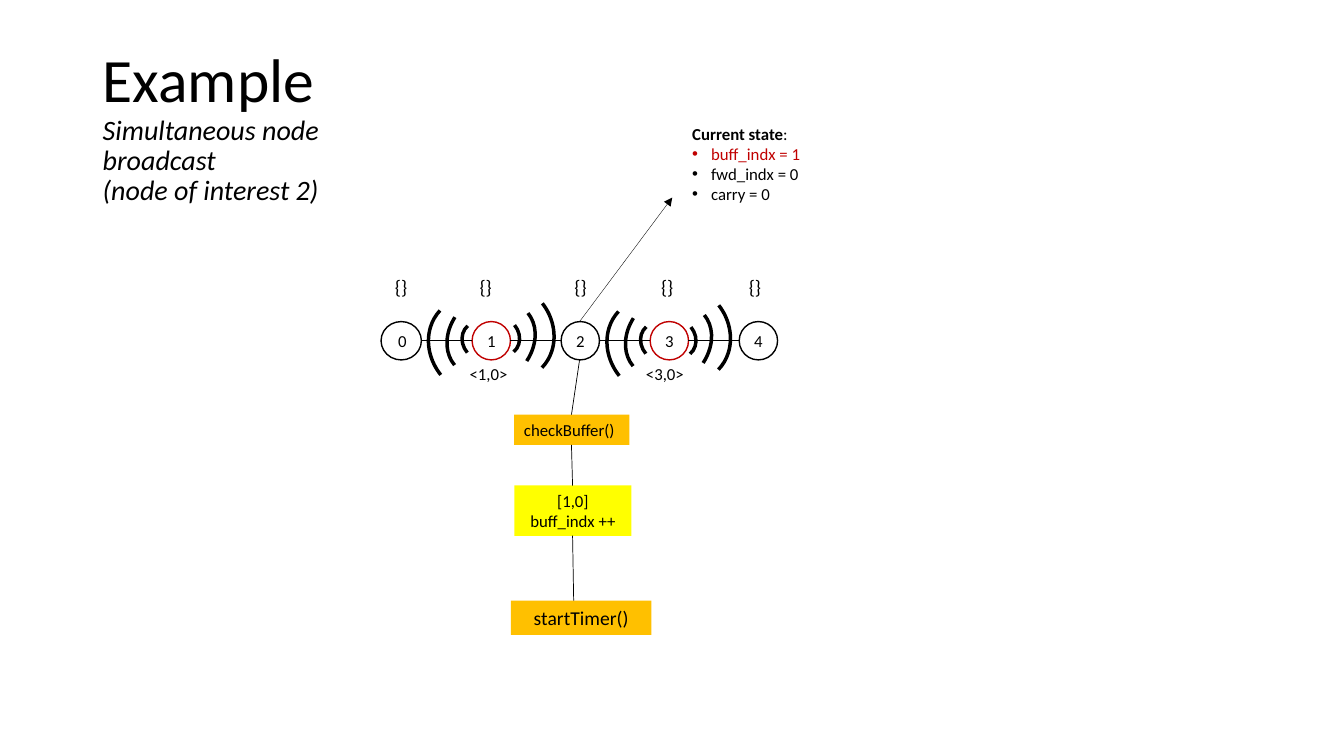
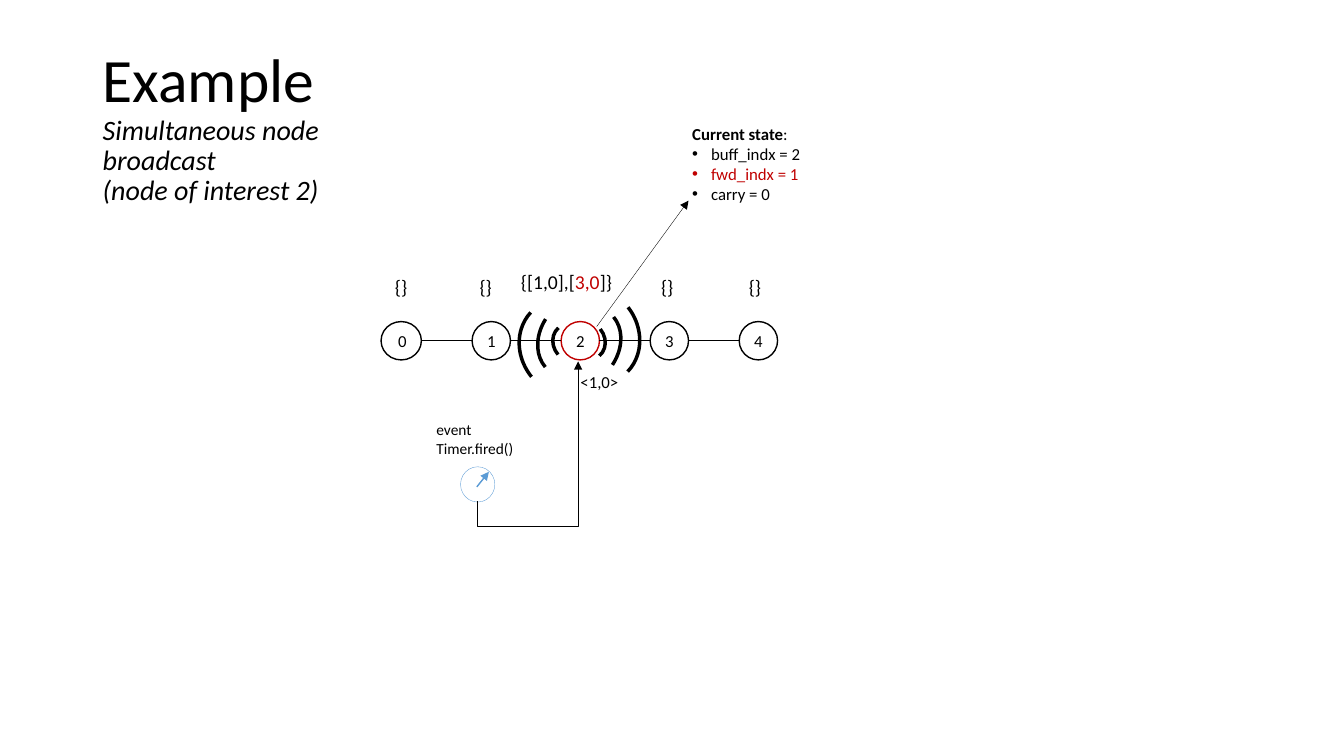
from lxml import etree
from pptx import Presentation
from pptx.dml.color import RGBColor
from pptx.enum.shapes import MSO_CONNECTOR, MSO_SHAPE
from pptx.enum.text import MSO_ANCHOR, MSO_AUTO_SIZE, PP_ALIGN
from pptx.oxml.ns import qn
from pptx.util import Pt

ARC, OVAL, RECT = MSO_SHAPE.ARC, MSO_SHAPE.OVAL, MSO_SHAPE.RECTANGLE
STRAIGHT, ELBOW = MSO_CONNECTOR.STRAIGHT, MSO_CONNECTOR.ELBOW
TOP, MIDDLE = MSO_ANCHOR.TOP, MSO_ANCHOR.MIDDLE
NO_FIT, GROW = MSO_AUTO_SIZE.NONE, MSO_AUTO_SIZE.SHAPE_TO_FIT_TEXT
LEFT, CENTER = PP_ALIGN.LEFT, PP_ALIGN.CENTER
TITLE_ONLY = 5

FONT = "Calibri"
COLORS = {"black": "000000", "white": "FFFFFF", "red": "C00000",
          "orange": "FFC000", "yellow": "FFFF00", "blue": "5B9BD5"}

# Node chain
NODES = 5
NODE_X, NODE_Y, NODE_SIZE, PITCH = 273.6, 229.7, 27.4, 63.6
WIRE_Y = NODE_Y + NODE_SIZE / 2
BUFFER_X = [275, 335.5, 403.2, 465.1, 527.8]

# Arcs of a broadcast: width, height, start and end angle
ARCS = [(73.4, 65.5, 163.11, 212.754),
        (56.2, 72, 162, 199.336),
        (28.8, 25.2, 162, 0)]
# Rotation, and offset of each arc from the first one
WAVES = {"right": (50.8, [(0, 0), (-3.6, 6.6), (18.7, 23.8)]),
         "left": (229.7, [(0, 0), (20.3, -13.1), (25.2, 16.5)])}


def rgb(name):
    """Return the named colour."""
    return RGBColor.from_string(COLORS[name])


def add_run(p, text, size=12, color="black", bold=False, italic=False):
    """Append formatted text to a paragraph."""
    r = p.add_run()
    r.text = text
    r.font.name = FONT
    r.font.size = Pt(size)
    r.font.bold = bold
    r.font.italic = italic
    r.font.color.rgb = rgb(color)


def set_frame(tf, anchor=TOP, fit=GROW):
    """Make a text frame wrap, anchored and fitted as asked."""
    tf.word_wrap = True
    tf.vertical_anchor = anchor
    tf.auto_size = fit


def add_bullet(p, indent=13.5):
    """Give a paragraph a hanging bullet."""
    pPr = p._p.get_or_add_pPr()
    pPr.set("marL", str(Pt(indent)))
    pPr.set("indent", str(-Pt(indent)))
    etree.SubElement(pPr, qn("a:buFont")).set("typeface", "Arial")
    etree.SubElement(pPr, qn("a:buChar")).set("char", "\u2022")


def add_text(s, text, x, y, w, h, **fmt):
    """Add a one-paragraph text box and return its frame."""
    tf = s.shapes.add_textbox(Pt(x), Pt(y), Pt(w), Pt(h)).text_frame
    set_frame(tf)
    add_run(tf.paragraphs[0], text, **fmt)
    return tf


def add_shape(shapes, kind, x, y, w, h, fill=None, line=None, width=1):
    """Add a preset shape with an optional fill and outline."""
    sp = shapes.add_shape(kind, Pt(x), Pt(y), Pt(w), Pt(h))
    sp.shadow.inherit = False
    if fill:
        sp.fill.solid()
        sp.fill.fore_color.rgb = rgb(fill)
    else:
        sp.fill.background()
    if line:
        sp.line.color.rgb = rgb(line)
        sp.line.width = Pt(width)
    else:
        sp.line.fill.background()
    return sp


def add_line(shapes, start, end, width=0.5, color="black", arrow=False,
             kind=STRAIGHT):
    """Connect two points, with an optional arrowhead at the end."""
    cn = shapes.add_connector(kind, *[Pt(v) for v in (*start, *end)])
    cn.line.color.rgb = rgb(color)
    cn.line.width = Pt(width)
    spPr = cn._element.spPr
    if arrow:
        ln = spPr.find(qn("a:ln"))
        etree.SubElement(ln, qn("a:tailEnd")).set("type", "triangle")
    etree.SubElement(spPr, qn("a:effectLst"))
    return cn


def add_step(s, lines, x, y, w, h, fill, size=12, align=CENTER):
    """Add a filled box naming a step."""
    sp = add_shape(s.shapes, RECT, x, y, w, h, fill)
    tf = sp.text_frame
    set_frame(tf)
    for i, text in enumerate(lines):
        p = tf.add_paragraph() if i else tf.paragraphs[0]
        p.alignment = align
        add_run(p, text, size)


def add_waves(s, side, x, y):
    """Add three arcs that spread to one side."""
    shapes = s.shapes.add_group_shape().shapes
    rotation, offsets = WAVES[side]
    for (w, h, first, last), (dx, dy) in zip(ARCS, offsets):
        sp = add_shape(shapes, ARC, x + dx, y + dy, w, h,
                       line="black", width=2.5)
        sp.adjustments[0] = first
        sp.adjustments[1] = last
        sp.rotation = rotation


def add_nodes(s, active):
    """Add the numbered chain of nodes, the active ones in red."""
    for i in range(NODES):
        x = NODE_X + i * PITCH
        extra = 0 if i else 1.4
        add_shape(s.shapes, OVAL, x - extra, NODE_Y, NODE_SIZE + extra,
                  NODE_SIZE, "white", "red" if i in active else "black")
        if i:
            add_line(s.shapes, (x - PITCH + NODE_SIZE, WIRE_Y), (x, WIRE_Y), 1)
        add_text(s, str(i), x + 3.7, 232.4, 18.7, 21.6)


def add_buffers(s, skip=()):
    """Add the empty buffer above each node that is not skipped."""
    for i, x in enumerate(BUFFER_X):
        if i not in skip:
            add_text(s, "{}", x, 193, 28.8, 24.5, size=14)


def add_state(s, values, changed):
    """List the state of the node, the changed variable in red."""
    tf = add_text(s, "Current state", 487.4, 84.5, 95.8, 65.3, bold=True)
    add_run(tf.paragraphs[0], ":")
    for name, value in values.items():
        p = tf.add_paragraph()
        add_bullet(p)
        add_run(p, f"{name} = {value}",
                color="red" if name == changed else "black")


def add_clock(s):
    """Add the timer clock."""
    shapes = s.shapes.add_group_shape().shapes
    add_shape(shapes, OVAL, 329, 333.4, 24.5, 25.2, "white", "blue", 0.25)
    add_line(shapes, (340.6, 347.8), (349.2, 337), 1, "blue", arrow=True)


def add_timer_arrow(s):
    """Lead from below the clock up to node 2."""
    cn = add_line(s.shapes, (427, 344.2), (326.9, 272.2), arrow=True,
                  kind=ELBOW)
    spPr = cn._element.spPr
    spPr.find(qn("a:xfrm")).set("rot", str(90 * 60000))
    guides = spPr.find(qn("a:prstGeom")).find(qn("a:avLst"))
    gd = etree.SubElement(guides, qn("a:gd"))
    gd.set("name", "adj1")
    gd.set("fmla", "val -18000")


def new_slide(prs):
    """Start a slide with the shared title."""
    s = prs.slides.add_slide(prs.slide_layouts[TITLE_ONLY])
    sp = s.shapes.title
    sp.left, sp.top, sp.width, sp.height = Pt(66.2), Pt(28.8), Pt(251.3), Pt(125.3)
    tf = sp.text_frame
    set_frame(tf, MIDDLE, NO_FIT)
    p = tf.paragraphs[0]
    add_run(p, "Example", 44)
    p.add_line_break()
    add_run(p, "Simultaneous node broadcast", 20, italic=True)
    add_run(tf.add_paragraph(), "(node of interest 2)", 20, italic=True)
    for p in tf.paragraphs:
        p.alignment = LEFT
        p.line_spacing = 0.9
    return s


def build_receive(prs):
    """Nodes 1 and 3 broadcast and node 2 buffers."""
    s = new_slide(prs)
    add_nodes(s, active=(1, 3))
    add_buffers(s)
    add_waves(s, "right", 324.7, 203.8)
    add_waves(s, "left", 303.8, 214.6)
    add_waves(s, "left", 431.3, 215.3)
    add_waves(s, "right", 450.7, 205.2)
    add_text(s, "<1,0>", 328.3, 256.3, 43.9, 21.6)
    add_text(s, "<3,0>", 454.3, 256.3, 43.9, 21.6)
    add_step(s, ["checkBuffer()"], 367.2, 296.2, 82.4, 21.6, "orange", align=LEFT)
    add_step(s, ["[1,0]", "buff_indx ++"], 367.4, 346.8, 83.6, 36, "yellow")
    add_step(s, ["startTimer()"], 365, 429, 100.4, 24.5, "orange", 14)
    for start, end in [((414, 257), (408.2, 296.2)),
                       ((408.2, 317.8), (409, 346.8)),
                       ((409, 382.6), (409.8, 429))]:
        add_line(s.shapes, start, end)
    add_state(s, {"buff_indx": 1, "fwd_indx": 0, "carry": 0}, "buff_indx")
    add_line(s.shapes, (414, 229.7), (480.2, 141.1), 0.25, arrow=True)


def build_forward(prs):
    """The timer fires and node 2 forwards."""
    s = new_slide(prs)
    add_nodes(s, active=(2,))
    add_buffers(s, skip=(2,))
    tf = add_text(s, "{[1,0],[", 365, 189.4, 99.4, 24.5, size=14)
    add_run(tf.paragraphs[0], "3,0", 14, "red")
    add_run(tf.paragraphs[0], "]}", 14)
    add_waves(s, "right", 385.9, 206.6)
    add_waves(s, "left", 368.6, 216)
    add_text(s, "<1,0>", 407.5, 262.1, 43.9, 21.6)
    add_clock(s)
    add_timer_arrow(s)
    add_text(s, "event Timer.fired()", 304.6, 296.6, 71.3, 33.8, size=11)
    add_state(s, {"buff_indx": 2, "fwd_indx": 1, "carry": 0}, "fwd_indx")
    add_line(s.shapes, (426.2, 233.3), (491.8, 143.3), 0.25, arrow=True)


def main():
    """Build and save the presentation."""
    prs = Presentation()
    prs.slide_width, prs.slide_height = Pt(960), Pt(540)
    build_receive(prs)
    build_forward(prs)
    prs.save("out.pptx")


main()
